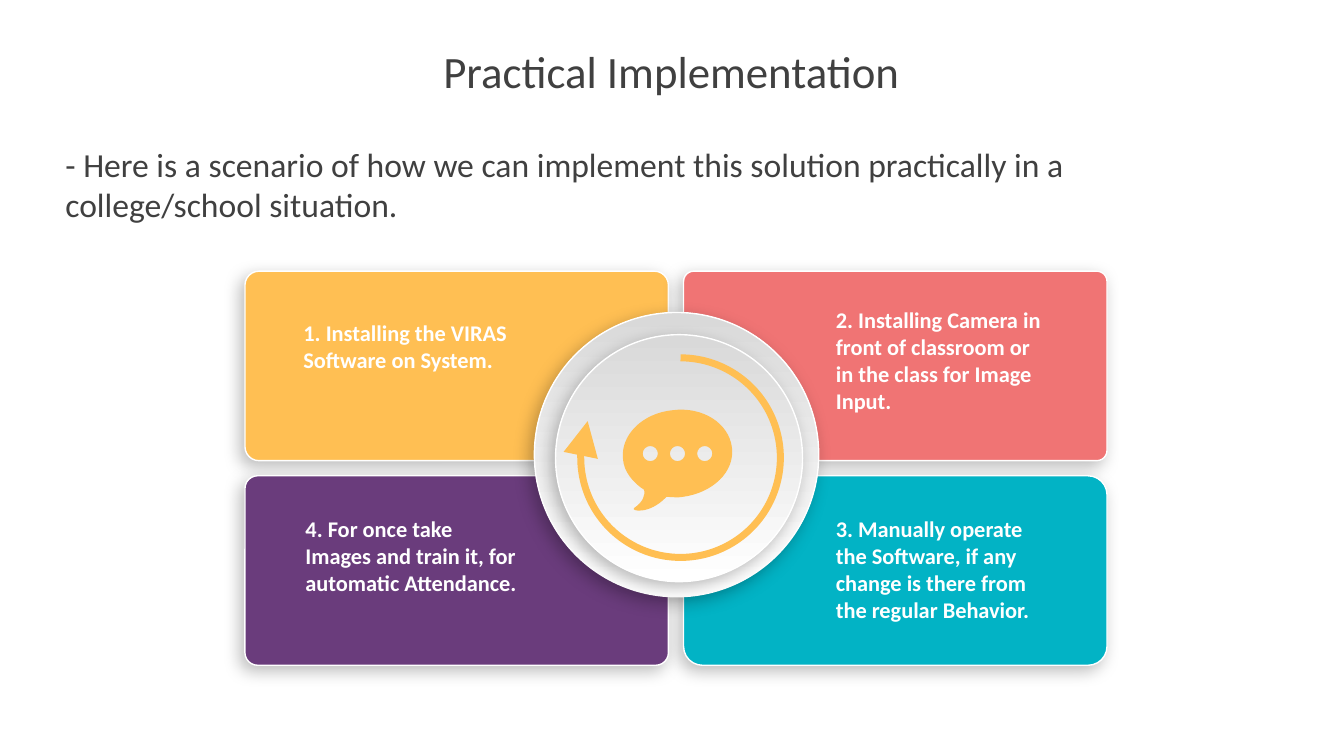
from dataclasses import dataclass

from lxml import etree
from pptx import Presentation
from pptx.dml.color import RGBColor
from pptx.enum.shapes import MSO_SHAPE
from pptx.enum.text import MSO_ANCHOR, MSO_AUTO_SIZE, PP_ALIGN
from pptx.oxml.ns import qn
from pptx.util import Inches, Pt

CENTER, LEFT = PP_ALIGN.CENTER, PP_ALIGN.LEFT
TOP = MSO_ANCHOR.TOP
GROW = MSO_AUTO_SIZE.SHAPE_TO_FIT_TEXT
ROUNDED, OVAL, ARC = MSO_SHAPE.ROUNDED_RECTANGLE, MSO_SHAPE.OVAL, MSO_SHAPE.ARC


@dataclass(frozen=True)
class Theme:
    font: str = "Calibri"
    ink: str = "404040"
    white: str = "FFFFFF"
    grey: str = "D9D9D9"
    yellow: str = "FFBF53"
    red: str = "F07474"
    teal: str = "02B3C5"
    purple: str = "6A3C7C"
    title_size: int = 32
    intro_size: int = 24
    step_size: int = 16


THEME = Theme()

TITLE = "Practical Implementation"
INTRO = ("- Here is a scenario of how we can implement this solution "
         "practically in a college/school situation.")
STEPS = [
    dict(text="1. Installing the VIRAS Software on System.", column=0, row=0,
         color=THEME.yellow, corner=0.074, text_box=(3.01, 3.17, 2.44, 0.54)),
    dict(text="2. Installing Camera in front of classroom or in the class for Image Input.",
         column=1, row=0, color=THEME.red, corner=0.054, text_box=(8.29, 3.04, 2.14, 1.08)),
    dict(text="3. Manually operate the Software, if any change is there from the regular Behavior.",
         column=1, row=1, color=THEME.teal, corner=0.1, text_box=(8.29, 5.11, 2.14, 1.08)),
    dict(text="4. For once take Images and train it, for automatic Attendance.",
         column=0, row=1, color=THEME.purple, corner=0.067, text_box=(3.03, 5.11, 2.14, 0.81)),
]
CARD_LEFT, CARD_TOP, CARD_WIDTH, CARD_HEIGHT, CARD_GAP = 2.43, 2.69, 4.2, 1.88, 0.15
DISCS = [(5.3, 3.1, 2.82), (5.51, 3.32, 2.45)]
CYCLE_BOX = (5.76, 3.55, 1.98, 1.98)
CYCLE_ANGLES = (162, 120.87)

BUBBLE_OUTLINE = [
    (7.26, 4.44),
    (7.23, 4.2), (6.97, 4.03), (6.67, 4.07),
    (6.37, 4.1), (6.15, 4.32), (6.18, 4.56),
    (6.19, 4.68), (6.28, 4.79), (6.39, 4.86),
    (6.4, 4.91), (6.38, 4.98), (6.29, 5.04),
    (6.25, 5.07), (6.44, 5.11), (6.61, 4.93),
    (6.67, 4.93), (6.72, 4.94), (6.77, 4.93),
    (7.07, 4.89), (7.29, 4.68), (7.26, 4.44),
]
DOT_OUTLINE = [
    (0, 1),
    (-0.55, 1), (-1, 0.55), (-1, 0),
    (-1, -0.55), (-0.55, -1), (0, -1),
    (0.55, -1), (1, -0.55), (1, 0),
    (1, 0.55), (0.55, 1), (0, 1),
]
DOT_CENTERS = [(6.45, 4.5), (6.72, 4.5), (6.99, 4.5)]
DOT_RADIUS = 0.075


def rgb(color):
    return RGBColor.from_string(color)


def inches(values):
    return [Inches(value) for value in values]


def write_text(holder, text, *, size, color, bold=False, align=LEFT, margins=(0.1, 0.05)):
    frame = holder.text_frame
    frame.word_wrap = True
    frame.auto_size = GROW
    frame.vertical_anchor = TOP
    frame.margin_left = frame.margin_right = Inches(margins[0])
    frame.margin_top = frame.margin_bottom = Inches(margins[1])
    paragraph = frame.paragraphs[0]
    paragraph.alignment = align
    run = paragraph.add_run()
    run.text = text
    run.font.name = THEME.font
    run.font.size = Pt(size)
    run.font.bold = bold
    run.font.color.rgb = rgb(color)


def add_raised(slide, kind, box):
    raised = slide.shapes.add_shape(kind, *inches(box))
    raised.line.color.rgb = rgb(THEME.white)
    raised.line.width = Pt(1)
    raised.shadow.inherit = False
    effects = raised._element.spPr.find(qn("a:effectLst"))
    shadow = etree.SubElement(effects, qn("a:outerShdw"), blurRad=str(Pt(12)),
                              dist=str(Pt(5)), dir=str(135 * 60000), rotWithShape="0")
    black = etree.SubElement(shadow, qn("a:srgbClr"), val="000000")
    etree.SubElement(black, qn("a:alpha"), val="26000")
    return raised


def add_card(slide, step):
    left = CARD_LEFT + step["column"] * (CARD_WIDTH + CARD_GAP)
    top = CARD_TOP + step["row"] * (CARD_HEIGHT + CARD_GAP)
    card = add_raised(slide, ROUNDED, (left, top, CARD_WIDTH, CARD_HEIGHT))
    card.adjustments[0] = step["corner"]
    card.fill.solid()
    card.fill.fore_color.rgb = rgb(step["color"])


def add_disc(slide, left, top, diameter):
    disc = add_raised(slide, OVAL, (left, top, diameter, diameter))
    disc.fill.gradient()
    disc.fill.gradient_angle = 90
    for stop, color in zip(disc.fill.gradient_stops, (THEME.white, THEME.grey)):
        stop.color.rgb = rgb(color)


def add_cycle_arrow(slide):
    cycle = slide.shapes.add_shape(ARC, *inches(CYCLE_BOX))
    for index, angle in enumerate(CYCLE_ANGLES):
        cycle.adjustments[index] = angle
    cycle.fill.background()
    cycle.line.color.rgb = rgb(THEME.yellow)
    cycle.line.width = Pt(5)
    cycle.shadow.inherit = False
    outline = cycle._element.spPr.find(qn("a:ln"))
    etree.SubElement(outline, qn("a:tailEnd"), type="triangle", w="lg", len="lg")


def curve_segments(shape):
    segments = list(shape._element.spPr.iter(qn("a:lnTo")))
    for first in range(0, len(segments), 3):
        curve = etree.Element(qn("a:cubicBezTo"))
        segments[first].addprevious(curve)
        for segment in segments[first:first + 3]:
            curve.append(segment[0])
            segment.getparent().remove(segment)


def add_bubble(slide):
    dots = [[(x + DOT_RADIUS * dx, y + DOT_RADIUS * dy) for dx, dy in DOT_OUTLINE]
            for x, y in DOT_CENTERS]
    builder = slide.shapes.build_freeform(*inches(BUBBLE_OUTLINE[0]), scale=1.0)
    for outline in [BUBBLE_OUTLINE, *dots]:
        if outline is not BUBBLE_OUTLINE:
            builder.move_to(*inches(outline[0]))
        builder.add_line_segments([inches(point) for point in outline[1:]], close=True)
    bubble = builder.convert_to_shape()
    curve_segments(bubble)
    bubble.fill.solid()
    bubble.fill.fore_color.rgb = rgb(THEME.yellow)
    bubble.line.fill.background()
    bubble.shadow.inherit = False


def main():
    deck = Presentation()
    deck.slide_width, deck.slide_height = inches((13.33, 7.5))
    slide = deck.slides.add_slide(deck.slide_layouts[5])

    title = slide.shapes.title
    title.left, title.top, title.width, title.height = inches((2.55, 0.38, 8.22, 0.64))
    write_text(title, TITLE, size=THEME.title_size, color=THEME.ink, align=CENTER)

    for step in STEPS:
        add_card(slide, step)
    for disc in DISCS:
        add_disc(slide, *disc)
    add_cycle_arrow(slide)
    add_bubble(slide)

    for step in STEPS:
        label = slide.shapes.add_textbox(*inches(step["text_box"]))
        write_text(label, step["text"], size=THEME.step_size, color=THEME.white,
                   bold=True, margins=(0, 0))
    intro = slide.shapes.add_textbox(*inches((0.55, 1.38, 11.32, 0.91)))
    write_text(intro, INTRO, size=THEME.intro_size, color=THEME.ink)

    deck.save("out.pptx")


if __name__ == "__main__":
    main()
